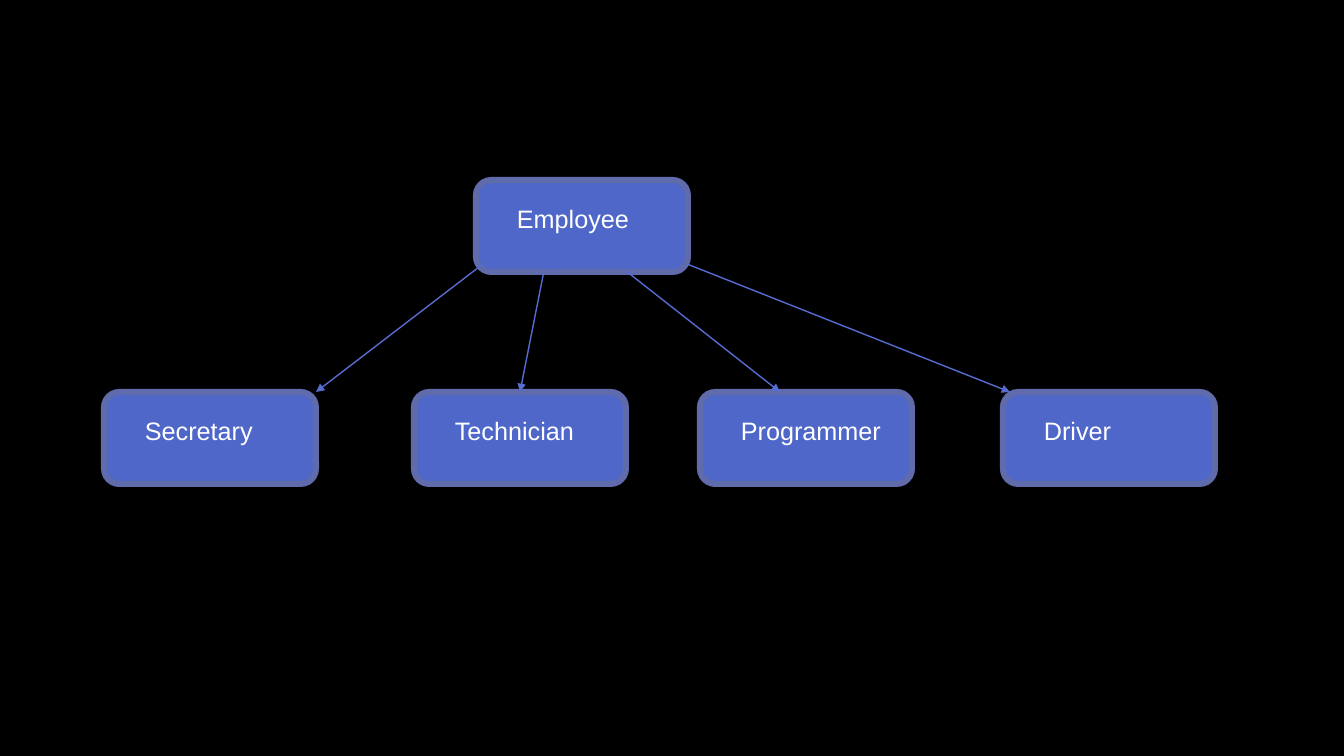
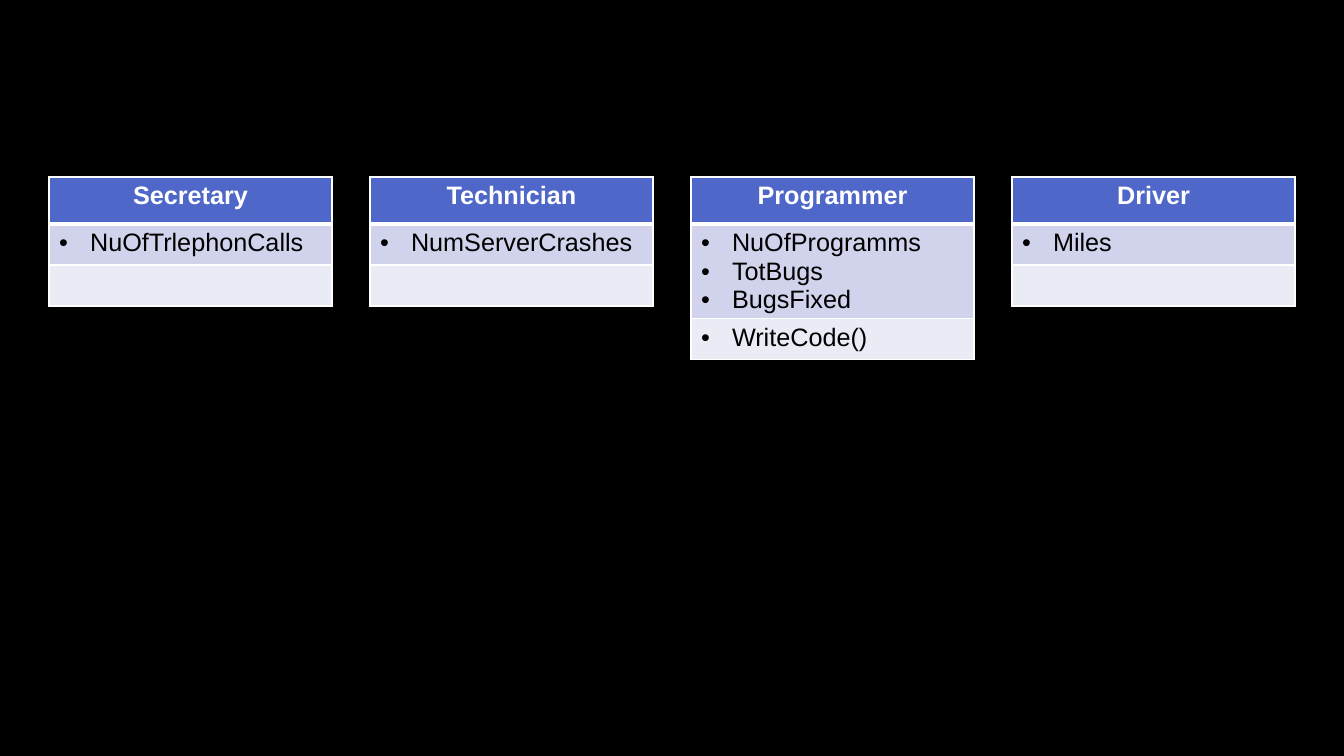
from lxml import etree
from pptx import Presentation
from pptx import util as u
from pptx.dml.color import RGBColor
from pptx.enum import shapes, text
from pptx.oxml import ns

BLACK = RGBColor(0x00, 0x00, 0x00)
WHITE = RGBColor(0xFF, 0xFF, 0xFF)
BLUE = RGBColor(0x4E, 0x67, 0xC8)
BOX_EDGE = RGBColor(0x60, 0x6B, 0xAC)
ARROW = RGBColor(0x56, 0x6C, 0xD1)
ATTRIBUTE_FILL = RGBColor(0xD0, 0xD3, 0xEB)
METHOD_FILL = RGBColor(0xE9, 0xEB, 0xF5)
FONT, FONT_SIZE = "Arial", u.Pt(18)

# Superclass: name, left, top
EMPLOYEE = ("Employee", 476, 180)
# Subclasses: name, left, arrow start from Employee's corner, arrow end from own left
SUBCLASSES = [
    ("Secretary", 104, (7, 84), 212),
    ("Technician", 414, (68, 91), 106),
    ("Programmer", 700, (150, 91), 80),
    ("Driver", 1003, (211, 84), 7),
]
SUBCLASS_TOP = 392
BOX_SIZE = (212, 92)
LABEL_OFFSET, LABEL_SIZE = (31, 18), (198, 40)

# Class tables: name, attributes, methods
CLASSES = [
    ("Secretary", ["NuOfTrlephonCalls"], []),
    ("Technician", ["NumServerCrashes"], []),
    ("Programmer", ["NuOfProgramms", "TotBugs", "BugsFixed"], ["WriteCode()"]),
    ("Driver", ["Miles"], []),
]
TABLE_LEFT, TABLE_TOP, TABLE_STEP, TABLE_WIDTH = 49, 177, 321, 283
ROW_HEIGHTS = (47, 41, 41)
BULLET_INDENT = 31
THIN, THICK = u.Pt(1), u.Pt(3)


def px(pixels):
    """Turn pixels of a 1344-pixel-wide slide into EMU."""
    return u.Emu(round(pixels * 914400 / 100.8))


def add_slide(presentation):
    """Add a blank slide with the shared black background."""
    slide = presentation.slides.add_slide(presentation.slide_layouts[6])
    slide.background.fill.solid()
    slide.background.fill.fore_color.rgb = BLACK
    return slide


def style_text(paragraph, color, bold=False):
    """Apply the shared font to a paragraph."""
    font = paragraph.font
    font.name, font.size, font.bold = FONT, FONT_SIZE, bold
    font.color.rgb = color


def add_class_box(slide, name, left, top):
    """Group a rounded box with its label."""
    group = slide.shapes.add_group_shape()
    box = group.shapes.add_shape(
        shapes.MSO_SHAPE.ROUNDED_RECTANGLE, px(left), px(top), *map(px, BOX_SIZE))
    box.shadow.inherit = False
    box.fill.solid()
    box.fill.fore_color.rgb = BLUE
    box.line.color.rgb = BOX_EDGE
    box.line.width = u.Pt(4.33)
    label = group.shapes.add_textbox(
        px(left + LABEL_OFFSET[0]), px(top + LABEL_OFFSET[1]), *map(px, LABEL_SIZE))
    frame = label.text_frame
    frame.word_wrap = True
    frame.auto_size = text.MSO_AUTO_SIZE.SHAPE_TO_FIT_TEXT
    frame.text = name
    style_text(frame.paragraphs[0], WHITE)


def add_arrow(slide, start, end):
    """Draw a thin arrow between two points."""
    arrow = slide.shapes.add_connector(
        shapes.MSO_CONNECTOR.STRAIGHT, *map(px, (*start, *end)))
    arrow.line.color.rgb = ARROW
    arrow.line.width = u.Pt(1)
    etree.SubElement(arrow.line._get_or_add_ln(), ns.qn("a:tailEnd"), type="triangle")
    etree.SubElement(arrow._element.spPr, ns.qn("a:effectLst"))


def set_borders(cell, top, bottom):
    """Give a cell white borders, with top and bottom widths of their own."""
    properties = cell._tc.get_or_add_tcPr()
    for side, width in (("L", THIN), ("R", THIN), ("T", top), ("B", bottom)):
        line = etree.SubElement(properties, ns.qn("a:ln" + side), w=str(width))
        fill = etree.SubElement(line, ns.qn("a:solidFill"))
        etree.SubElement(fill, ns.qn("a:srgbClr"), val=str(WHITE))


def add_bullet(paragraph):
    """Give a paragraph a hanging round bullet."""
    properties = paragraph._p.get_or_add_pPr()
    properties.set("marL", str(px(BULLET_INDENT)))
    properties.set("indent", str(-px(BULLET_INDENT)))
    etree.SubElement(properties, ns.qn("a:buFont"), typeface=FONT)
    etree.SubElement(properties, ns.qn("a:buChar"), char="•")


def add_class_table(slide, left, name, attributes, methods):
    """Add a one-column table of class name, attributes and methods."""
    table = slide.shapes.add_table(
        len(ROW_HEIGHTS), 1, px(left), px(TABLE_TOP), px(TABLE_WIDTH),
        px(sum(ROW_HEIGHTS))).table
    rows = [
        ([name], BLUE, THIN, THICK),
        (attributes, ATTRIBUTE_FILL, THICK, THIN),
        (methods, METHOD_FILL, THIN, THIN),
    ]
    for index, (lines, fill, top, bottom) in enumerate(rows):
        table.rows[index].height = px(ROW_HEIGHTS[index])
        cell = table.cell(index, 0)
        set_borders(cell, top, bottom)
        cell.fill.solid()
        cell.fill.fore_color.rgb = fill
        cell.text = "\n".join(lines)
        is_header = index == 0
        for paragraph in cell.text_frame.paragraphs:
            if is_header:
                paragraph.alignment = text.PP_ALIGN.CENTER
            elif lines:
                add_bullet(paragraph)
            style_text(paragraph, WHITE if is_header else BLACK, bold=is_header)


def build_hierarchy(presentation):
    """Build the inheritance tree slide."""
    slide = add_slide(presentation)
    add_class_box(slide, *EMPLOYEE)
    _, root_left, root_top = EMPLOYEE
    for name, left, _, _ in SUBCLASSES:
        add_class_box(slide, name, left, SUBCLASS_TOP)
    for _, left, (dx, dy), end_offset in SUBCLASSES:
        add_arrow(slide, (root_left + dx, root_top + dy),
                  (left + end_offset, SUBCLASS_TOP))


def build_class_tables(presentation):
    """Build the slide of evenly spaced class tables."""
    slide = add_slide(presentation)
    for index, members in enumerate(CLASSES):
        add_class_table(slide, TABLE_LEFT + index * TABLE_STEP, *members)


presentation = Presentation()
presentation.slide_width, presentation.slide_height = px(1344), px(756)
build_hierarchy(presentation)
build_class_tables(presentation)
presentation.save("out.pptx")
